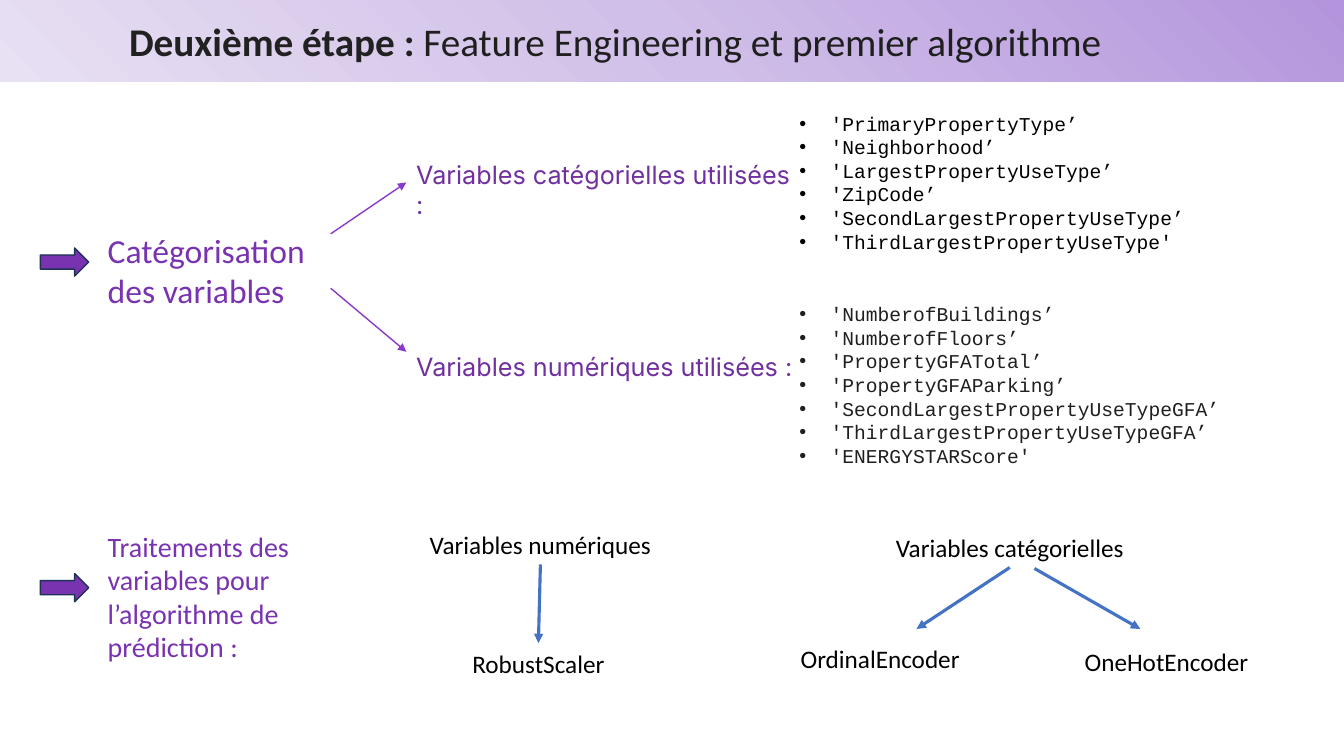
from copy import deepcopy

from lxml import etree
from pptx import Presentation
from pptx.dml.color import RGBColor
from pptx.enum.shapes import MSO_CONNECTOR, MSO_SHAPE
from pptx.enum.text import MSO_ANCHOR, PP_ALIGN
from pptx.oxml.ns import qn
from pptx.util import Pt

PX = 9144  # EMU per px, 100 px to the inch
STRAIGHT = MSO_CONNECTOR.STRAIGHT
RECTANGLE, RIGHT_ARROW = MSO_SHAPE.RECTANGLE, MSO_SHAPE.RIGHT_ARROW
LEFT, CENTER = PP_ALIGN.LEFT, PP_ALIGN.CENTER
TOP, MIDDLE = MSO_ANCHOR.TOP, MSO_ANCHOR.MIDDLE
SIDE_TOP, SIDE_BOTTOM = 0, 2

COLORS = {
    "banner_dark": "B495DD", "banner_mid": "D0BFE8", "banner_light": "E8E0F3",
    "title_bold": "212121", "ink": "1F1F1F", "black": "000000",
    "heading": "7933B1", "subheading": "7030A0", "block_edge": "1E3256",
    "branch": "893AC9", "flow": "4472C4",
}

# Content
TITLE = [("Deuxième étape : ", True, "title_bold"),
         ("Feature Engineering et premier algorithme", False, "ink")]
TITLE_PLACE = (118, 12, 995, 57)

# text, place (left, top, width, height), size, font, colour
HEADINGS = [
    ("Catégorisation des variables", (97, 223, 240, 91), 24, "Calibri", "heading"),
    ("Traitements des variables pour l’algorithme de prédiction :",
     (97, 520, 262, 145), 20, "Calibri", "heading"),
    ("Variables catégorielles utilisées :", (403, 153, 397, 71), 18, "Inter", "subheading"),
    ("Variables numériques utilisées :", (403, 344, 586, 40), 18, "Inter", "subheading"),
]
# lines, place, colour
VARIABLE_LISTS = [
    (["'PrimaryPropertyType’", "'Neighborhood’", "'LargestPropertyUseType’",
      "'ZipCode’", "'SecondLargestPropertyUseType’",
      "'ThirdLargestPropertyUseType'"], (783, 106, 486, 182), "black"),
    (["'NumberofBuildings’", "'NumberofFloors’", "'PropertyGFATotal’",
      "'PropertyGFAParking’", "'SecondLargestPropertyUseTypeGFA’",
      "'ThirdLargestPropertyUseTypeGFA’", "'ENERGYSTARScore'"],
     (783, 295, 439, 199), "ink"),
]
FLOW_LABELS = {
    "Variables numériques": (415, 520, 242, 40),
    "RobustScaler": (455, 638, 158, 40),
    "Variables catégorielles": (877, 523, 249, 40),
    "OrdinalEncoder": (783, 633, 180, 40),
    "OneHotEncoder": (1065, 636, 184, 40),
}
BLOCK_ARROW_TOPS = [246, 569]
# start, end, colour, width, label joined at start, label joined at end
ARROWS = [
    ((328, 232), (403, 181), "branch", 1, None, None),
    ((328, 286), (403, 349), "branch", 1, None, None),
    ((536, 561), (536, 641), "flow", 2.25, "Variables numériques", "RobustScaler"),
    ((1001, 564), (909, 624), "flow", 2.25, "Variables catégorielles", None),
    ((1026, 564), (1131, 624), "flow", 2.25, None, None),
]


def color(name):
    return RGBColor.from_string(COLORS[name])


def emu(values):
    return [value * PX for value in values]


def style(span, size, font, tint, bold=False):
    span.font.size = Pt(size)
    span.font.name = font
    span.font.bold = bold
    span.font.color.rgb = color(tint)


def add_text(page, lines, place, size, font, tint, wrap=True, align=LEFT, bullets=False):
    box = page.shapes.add_textbox(*emu(place))
    frame = box.text_frame
    frame.word_wrap = wrap
    frame.vertical_anchor = TOP
    frame.text = "\n".join(lines)
    for para in frame.paragraphs:
        para.alignment = align
        if bullets:
            props = para._p.get_or_add_pPr()
            props.set("marL", str(31 * PX))
            props.set("indent", str(-31 * PX))
            etree.SubElement(props, qn("a:buFont")).set("typeface", "Arial")
            etree.SubElement(props, qn("a:buChar")).set("char", "•")
        style(para.runs[0], size, font, tint)
    return box


def add_arrow(page, start, end, tint, width):
    arrow = page.shapes.add_connector(STRAIGHT, *emu(start + end))
    arrow.line.color.rgb = color(tint)
    arrow.line.width = Pt(width)
    etree.SubElement(arrow.line._get_or_add_ln(), qn("a:tailEnd")).set("type", "triangle")
    etree.SubElement(arrow._element.spPr, qn("a:effectLst"))
    return arrow


def add_banner(page):
    banner = page.shapes.add_shape(RECTANGLE, *emu((0, 0, 1333, 81)))
    banner.shadow.inherit = False
    banner.line.fill.background()
    banner.fill.gradient()
    banner.fill.gradient_angle = 225
    stop_list = banner._element.spPr.find(qn("a:gradFill")).find(qn("a:gsLst"))
    stop_list.insert(1, deepcopy(stop_list[0]))
    tints = ("banner_dark", "banner_mid", "banner_light")
    for index, (stop, tint) in enumerate(zip(banner.fill.gradient_stops, tints)):
        stop.position = index / 2
        stop.color.rgb = color(tint)
    # Send the banner behind the title
    page.shapes._spTree.insert(2, banner._element)


def add_title(page):
    title = page.shapes.title
    title.left, title.top, title.width, title.height = emu(TITLE_PLACE)
    frame = title.text_frame
    frame.word_wrap = False
    frame.vertical_anchor = MIDDLE
    para = frame.paragraphs[0]
    para.alignment = LEFT
    for text, bold, tint in TITLE:
        span = para.add_run()
        span.text = text
        style(span, 28, "Calibri", tint, bold)


def main():
    deck = Presentation()
    deck.slide_width, deck.slide_height = emu((1333, 750))
    page = deck.slides.add_slide(deck.slide_layouts[5])
    add_banner(page)
    add_title(page)

    # Headings and variable lists
    for text, place, size, font, tint in HEADINGS:
        add_text(page, [text], place, size, font, tint)
    for lines, place, tint in VARIABLE_LISTS:
        add_text(page, lines, place, 14, "Courier New", tint, bullets=True)

    # Block arrows in front of the two steps
    for top in BLOCK_ARROW_TOPS:
        block = page.shapes.add_shape(RIGHT_ARROW, *emu((40, top, 48, 28)))
        block.shadow.inherit = False
        block.fill.solid()
        block.fill.fore_color.rgb = color("heading")
        block.line.color.rgb = color("block_edge")
        block.line.width = Pt(1)

    # Processing labels and arrows
    labels = {text: add_text(page, [text], place, 18, "Calibri", "black",
                             wrap=False, align=CENTER)
              for text, place in FLOW_LABELS.items()}
    for start, end, tint, width, source, target in ARROWS:
        arrow = add_arrow(page, start, end, tint, width)
        if source:
            arrow.begin_connect(labels[source], SIDE_BOTTOM)
        if target:
            arrow.end_connect(labels[target], SIDE_TOP)

    deck.save("out.pptx")


if __name__ == "__main__":
    main()
